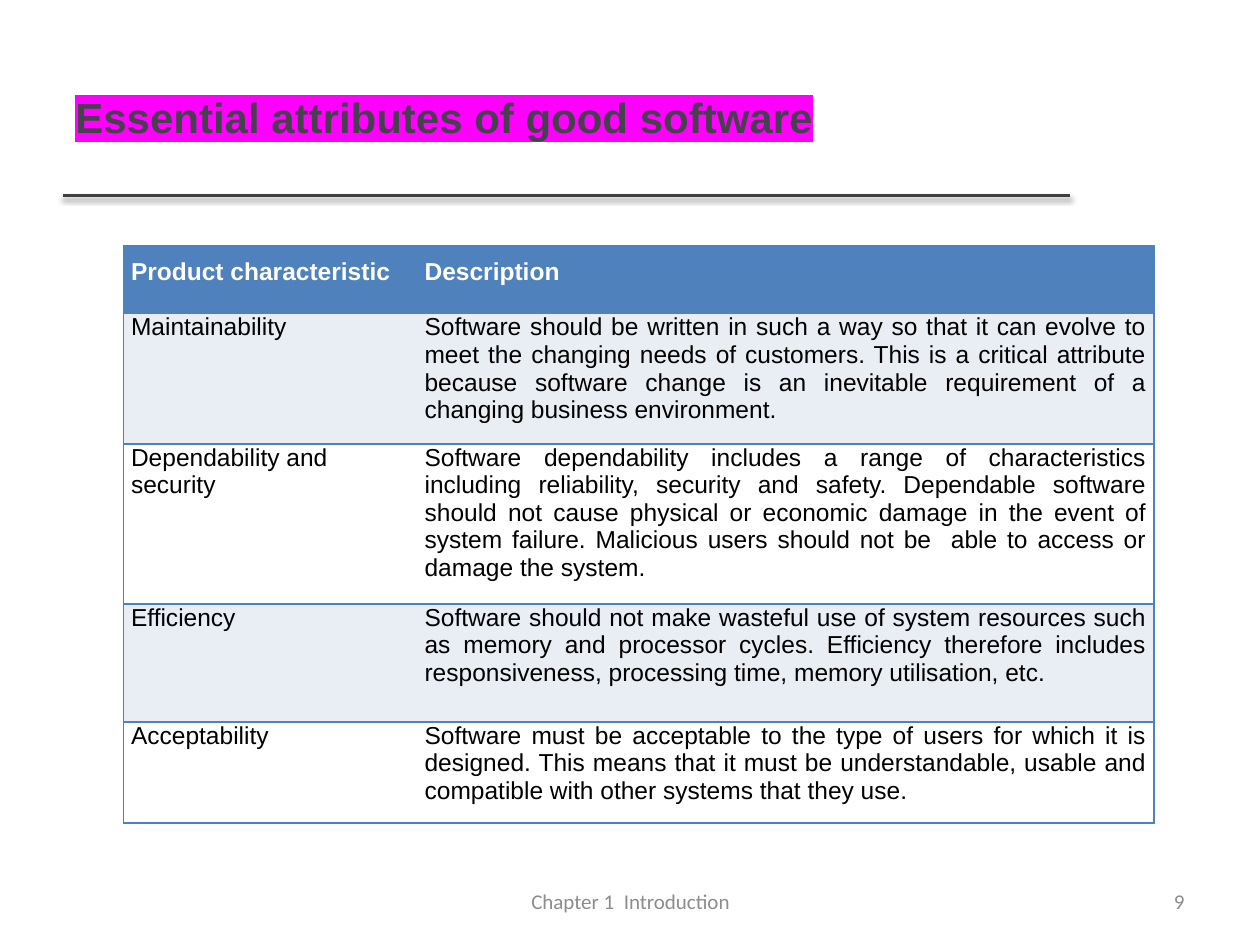
from dataclasses import dataclass

from pptx import Presentation
from pptx.dml.color import RGBColor
from pptx.enum.shapes import MSO_CONNECTOR
from pptx.enum.text import MSO_ANCHOR, PP_ALIGN
from pptx.oxml import parse_xml
from pptx.oxml.ns import nsdecls
from pptx.util import Inches, Pt

LEFT, CENTER, RIGHT, JUSTIFY = PP_ALIGN.LEFT, PP_ALIGN.CENTER, PP_ALIGN.RIGHT, PP_ALIGN.JUSTIFY
MIDDLE = MSO_ANCHOR.MIDDLE
STRAIGHT = MSO_CONNECTOR.STRAIGHT

WIDTH, HEIGHT = Inches(10), Inches(7.5)
COLORS = {
    "title": "46424D",
    "highlight": "FF00FF",
    "rule": "404040",
    "footer": "8C8C8C",
    "accent": "4F81BD",
    "band": "E9EDF4",
    "white": "FFFFFF",
    "black": "000000",
}


@dataclass
class TextStyle:
    size: float
    color: str
    font: str = "Arial"
    bold: bool = False
    align: PP_ALIGN = LEFT


@dataclass
class Label:
    """A text box; left, top, width and height are shares of the slide."""
    text: str
    left: float
    top: float
    width: float
    height: float
    style: TextStyle


@dataclass
class Attribute:
    name: str
    description: str
    row_height: float
    name_align: PP_ALIGN = JUSTIFY


TITLE = Label("Essential attributes of good software", 0.05, 0.04, 0.798, 0.1667,
              TextStyle(24, "title", bold=True))
FOOTERS = [
    Label("Chapter 1  Introduction", 0.342, 0.9267, 0.317, 0.0533,
          TextStyle(12, "footer", "Calibri", align=CENTER)),
    Label("9", 0.717, 0.9267, 0.233, 0.0533,
          TextStyle(12, "footer", "Calibri", align=RIGHT)),
]

COLUMN_WIDTHS = (2.33, 5.85)
ROWS = [
    Attribute("Product characteristic", "Description", 0.54),
    Attribute(
        "Maintainability",
        "Software should be written in such a way so that it can evolve to meet the "
        "changing needs of customers. This is a critical attribute because software "
        "change is an inevitable requirement of a changing business environment.", 0.94),
    Attribute(
        "Dependability and security",
        "Software dependability includes a range of characteristics including "
        "reliability, security and safety. Dependable software should not cause "
        "physical or economic damage in the event of system failure. Malicious users "
        "should not be  able to access or damage the system.", 1.14, LEFT),
    Attribute(
        "Efficiency",
        "Software should not make wasteful use of system resources such as memory and "
        "processor cycles. Efficiency therefore includes responsiveness, processing "
        "time, memory utilisation, etc.", 0.94),
    Attribute(
        "Acceptability",
        "Software must be acceptable to the type of users for which it is designed. "
        "This means that it must be understandable, usable and compatible with other "
        "systems that they use.", 0.74),
]


def rgb(name: str) -> RGBColor:
    return RGBColor.from_string(COLORS[name])


def write(frame, text: str, style: TextStyle):
    """Put one styled paragraph in the frame and return its run."""
    para = frame.paragraphs[0]
    para.text = text
    para.alignment = style.align
    span = para.runs[0]
    span.font.size = Pt(style.size)
    span.font.bold = style.bold
    span.font.name = style.font
    span.font.color.rgb = rgb(style.color)
    return span


def add_label(page, label: Label):
    box = page.shapes.add_textbox(
        int(WIDTH * label.left), int(HEIGHT * label.top),
        int(WIDTH * label.width), int(HEIGHT * label.height))
    box.text_frame.word_wrap = True
    box.text_frame.vertical_anchor = MIDDLE
    return write(box.text_frame, label.text, label.style)


def highlight(span, color: str) -> None:
    fill = span.font._element.find("{*}solidFill")
    fill.addnext(parse_xml(
        f'<a:highlight {nsdecls("a")}><a:srgbClr val="{COLORS[color]}"/></a:highlight>'))


def add_title_rule(page) -> None:
    y = Inches(1.55)
    rule = page.shapes.add_connector(STRAIGHT, Inches(0.5), y, Inches(8.49), y)
    rule.line.color.rgb = rgb("rule")
    rule.line.width = Pt(2)
    rule._element.spPr.append(parse_xml(
        f'<a:effectLst {nsdecls("a")}>'
        '<a:outerShdw blurRad="40000" dist="20000" dir="5400000" rotWithShape="0">'
        f'<a:srgbClr val="{COLORS["black"]}"><a:alpha val="38000"/></a:srgbClr>'
        '</a:outerShdw></a:effectLst>'))


def set_borders(cell, hidden_side: str) -> None:
    """Outline the cell in the accent colour, except on one side."""
    properties = cell._tc.get_or_add_tcPr()
    for side in "LRTB":
        paint = ("<a:noFill/>" if side == hidden_side else
                 f'<a:solidFill><a:srgbClr val="{COLORS["accent"]}"/></a:solidFill>')
        properties.append(parse_xml(
            f'<a:ln{side} {nsdecls("a")} w="{Pt(1)}">{paint}</a:ln{side}>'))


def add_attribute_table(page, rows: list[Attribute]) -> None:
    table = page.shapes.add_table(
        len(rows), len(COLUMN_WIDTHS), Inches(0.98), Inches(1.95),
        Inches(sum(COLUMN_WIDTHS)), Inches(sum(row.row_height for row in rows))).table
    for column, width in zip(table.columns, COLUMN_WIDTHS):
        column.width = Inches(width)
    for index, row in enumerate(rows):
        header = index == 0
        fill = "accent" if header else ("white", "band")[index % 2]
        table.rows[index].height = Inches(row.row_height)
        entries = ((row.name, row.name_align, "R"), (row.description, JUSTIFY, "L"))
        for cell, (text, align, hidden_side) in zip(table.rows[index].cells, entries):
            set_borders(cell, hidden_side)
            cell.fill.solid()
            cell.fill.fore_color.rgb = rgb(fill)
            cell.margin_left = cell.margin_right = Inches(0.06)
            cell.margin_top = Inches(0.1 if header else 0)
            cell.margin_bottom = Inches(0.1)
            write(cell.text_frame, text,
                  TextStyle(14, "white" if header else "black", bold=header, align=align))


def main() -> None:
    deck = Presentation()
    deck.slide_width, deck.slide_height = WIDTH, HEIGHT
    page = deck.slides.add_slide(deck.slide_layouts[6])
    add_title_rule(page)
    highlight(add_label(page, TITLE), "highlight")
    for footer in FOOTERS:
        add_label(page, footer)
    add_attribute_table(page, ROWS)
    deck.save("out.pptx")


if __name__ == "__main__":
    main()
